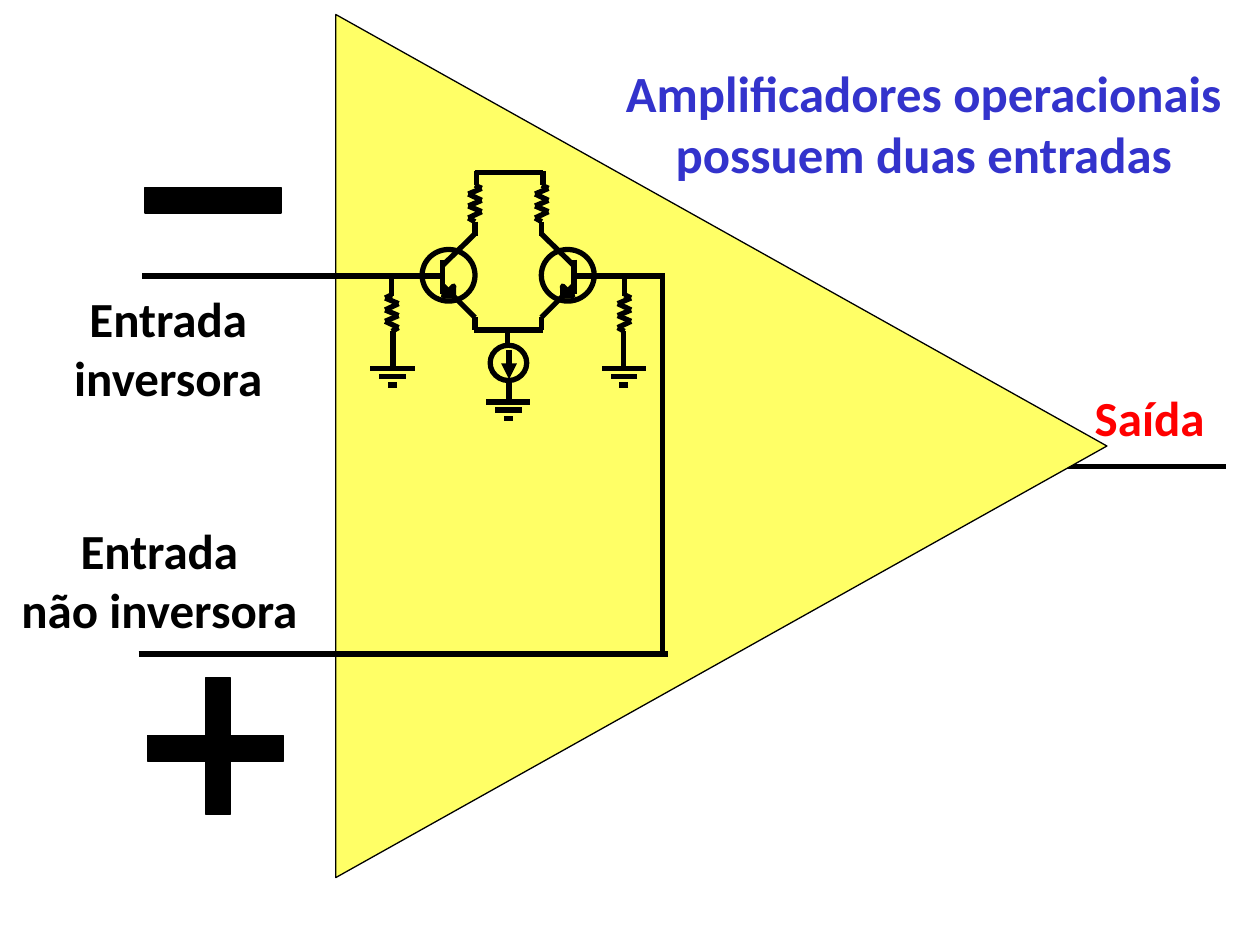
from dataclasses import dataclass
from typing import Optional

from lxml import etree
from pptx import Presentation
from pptx import util as u
from pptx.dml.color import RGBColor
from pptx.enum import shapes, text
from pptx.oxml.ns import qn

COLS, ROWS = 100, 75
CELL = u.Inches(0.1)
AXIS = 40.33
BLACK, YELLOW, RED, BLUE = "000000", "FFFF66", "FF0000", "3333CC"
THICK, THIN = 3, 0.75
ZIGZAG = (0, 1, -1, 1, -1, 1, -1, 0)
ZIGZAG_ROWS = (0, 0.25, 0.7, 1.2, 1.65, 2.1, 2.6, 2.9)
Point = tuple[float, float]


@dataclass(frozen=True)
class Box:
    col: float
    row: float
    cols: float
    rows: float

    def emu(self) -> list[int]:
        return [round(v * CELL) for v in (self.col, self.row, self.cols, self.rows)]

    def mirrored(self) -> "Box":
        return Box(2 * AXIS - self.col - self.cols, self.row, self.cols, self.rows)


@dataclass(frozen=True)
class Label:
    box: Box
    lines: tuple[str, ...]
    color: str
    size: int = 28
    align: Optional[text.PP_ALIGN] = text.PP_ALIGN.CENTER


LABELS = (
    Label(Box(4.8, 22.4, 17.1, 10.4), ("Entrada", "inversora"), BLACK),
    Label(Box(0.6, 40.8, 24.1, 10.4), ("Entrada", "não inversora"), BLACK),
    Label(Box(85.9, 30.3, 10.7, 5.7), ("Saída",), RED, align=None),
)
TITLE = Label(Box(48.6, 4.4, 49.5, 10.7),
              ("Amplificadores operacionais", "possuem duas entradas"), BLUE, 29)


def rgb(color: str) -> RGBColor:
    return RGBColor.from_string(color)


def add_wire(parent, *points: Point, mirror: bool = False, arrow: bool = False) -> None:
    if mirror:
        points = tuple((2 * AXIS - x, y) for x, y in points)
    for a, b in zip(points, points[1:]):
        ends = [round(v * CELL) for v in (*a, *b)]
        c = parent.add_connector(shapes.MSO_CONNECTOR.STRAIGHT, *ends)
        c.line.color.rgb = rgb(BLACK)
        c.line.width = u.Pt(THICK)
        etree.SubElement(c._element.spPr, qn("a:effectLst"))
        if arrow:
            etree.SubElement(c.line._get_or_add_ln(), qn("a:tailEnd"), type="triangle")


def add_figure(parent, kind, box: Box, fill: Optional[str] = None,
               width: float = THICK, rotation: float = 0, flips: str = ""):
    sp = parent.add_shape(kind, *box.emu())
    sp.shadow.inherit = False
    sp.rotation = rotation
    for axis in flips:
        sp._element.spPr.find(qn("a:xfrm")).set(f"flip{axis}", "1")
    if fill:
        sp.fill.solid()
        sp.fill.fore_color.rgb = rgb(fill)
    else:
        sp.fill.background()
    sp.line.color.rgb = rgb(BLACK)
    sp.line.width = u.Pt(width)
    return sp


def add_bar(parent, col: float, row: float, rotation: float = 0) -> None:
    add_figure(parent, shapes.MSO_SHAPE.RECTANGLE, Box(col, row, 10.8, 2), BLACK, THIN, rotation)


def add_resistor(parent, col: float, row: float, side: int, mirror: bool = False) -> None:
    add_wire(parent, *((col + side * 0.53 * z, row + dy) for z, dy in zip(ZIGZAG, ZIGZAG_ROWS)),
             mirror=mirror)


def add_ground(parent, col: float, row: float, mirror: bool = False) -> None:
    for i, half in enumerate((1.75, 1.05, 0.35)):
        y = row + 0.65 * i
        add_wire(parent, (col - half, y), (col + half, y), mirror=mirror)


def add_half(parent, base_end: float, mirror: bool) -> None:
    oval, arrow = Box(33.5, 19.8, 4.2, 4.1), Box(35.2, 22.7, 0.8, 0.8)
    rotation, flips = 91.3, "HV"
    if mirror:
        oval, arrow, rotation, flips = oval.mirrored(), arrow.mirrored(), 268.7, "V"
    add_wire(parent, (35.2, 22.7), (37.7, 25.2), (37.7, 26.2), mirror=mirror)
    add_figure(parent, shapes.MSO_SHAPE.RIGHT_TRIANGLE, arrow, BLACK,
               rotation=rotation, flips=flips)
    add_wire(parent, (35.1, 21.1), (37.65, 18.6), mirror=mirror)
    add_wire(parent, (35.1, 20.6), (35.1, 23.3), mirror=mirror)
    add_figure(parent, shapes.MSO_SHAPE.OVAL, oval)
    add_resistor(parent, 31.1, 23.4, -1, mirror)
    add_wire(parent, (31.1, 23.5), (31.1, 22), mirror=mirror)
    add_wire(parent, (31.2, 26.3), (31.2, 29.2), mirror=mirror)
    add_ground(parent, 31.15, 29.25, mirror)
    add_wire(parent, (35, 21.9), (base_end, 21.9), mirror=mirror)


def add_circuit(parent) -> None:
    add_half(parent, 25.7, mirror=False)
    add_half(parent, 27.86, mirror=True)
    add_wire(parent, (37.6, 26.2), (43.1, 26.2))
    for col in (37.7, 43):
        add_resistor(parent, col, 14.7, 1)
        add_wire(parent, (col, 17.6), (col, 18.7))
        add_wire(parent, (col + 0.1, 13.6), (col + 0.1, 14.7))
    add_wire(parent, (37.7, 13.7), (43.1, 13.7))
    add_wire(parent, (40.3, 26.1), (40.3, 27.3))
    add_figure(parent, shapes.MSO_SHAPE.OVAL, Box(38.9, 27.4, 2.9, 2.8))
    add_wire(parent, (40.4, 27.8), (40.4, 30.1), arrow=True)
    add_ground(parent, 40.35, 31.9)
    add_wire(parent, (40.4, 31.9), (40.4, 30.3))


def write_label(sp, label: Label) -> None:
    sp.left, sp.top, sp.width, sp.height = label.box.emu()
    tf = sp.text_frame
    frame = {"word_wrap": False, "auto_size": text.MSO_AUTO_SIZE.SHAPE_TO_FIT_TEXT,
             "vertical_anchor": text.MSO_ANCHOR.TOP}
    for name, value in frame.items():
        setattr(tf, name, value)
    for i, line in enumerate(label.lines):
        p = tf.add_paragraph() if i else tf.paragraphs[0]
        p.alignment = label.align or text.PP_ALIGN.LEFT
        r = p.add_run()
        r.text = line
        for name, value in {"name": "Calibri", "size": u.Pt(label.size), "bold": True}.items():
            setattr(r.font, name, value)
        r.font.color.rgb = rgb(label.color)


def main() -> None:
    prs = Presentation()
    prs.slide_width, prs.slide_height = COLS * CELL, ROWS * CELL
    s = prs.slides.add_slide(prs.slide_layouts[5])
    write_label(s.shapes.title, TITLE)

    add_wire(s.shapes, (82.4, 37), (97.3, 37))
    add_figure(s.shapes, shapes.MSO_SHAPE.ISOSCELES_TRIANGLE, Box(23, 4.8, 68.5, 61.2),
               YELLOW, THIN, rotation=90)
    add_circuit(s.shapes.add_group_shape().shapes)
    add_wire(s.shapes, (11.3, 21.9), (26.4, 21.9))
    add_wire(s.shapes, (11, 51.9), (53, 51.9))
    add_wire(s.shapes, (52.6, 21.9), (52.6, 52.1))

    add_bar(s.shapes, 11.5, 14.9)
    plus = s.shapes.add_group_shape().shapes
    add_bar(plus, 11.7, 58.4)
    add_bar(plus, 11.9, 58.2, rotation=270)

    for label in LABELS:
        write_label(s.shapes.add_textbox(*label.box.emu()), label)
    prs.save("out.pptx")


if __name__ == "__main__":
    main()
